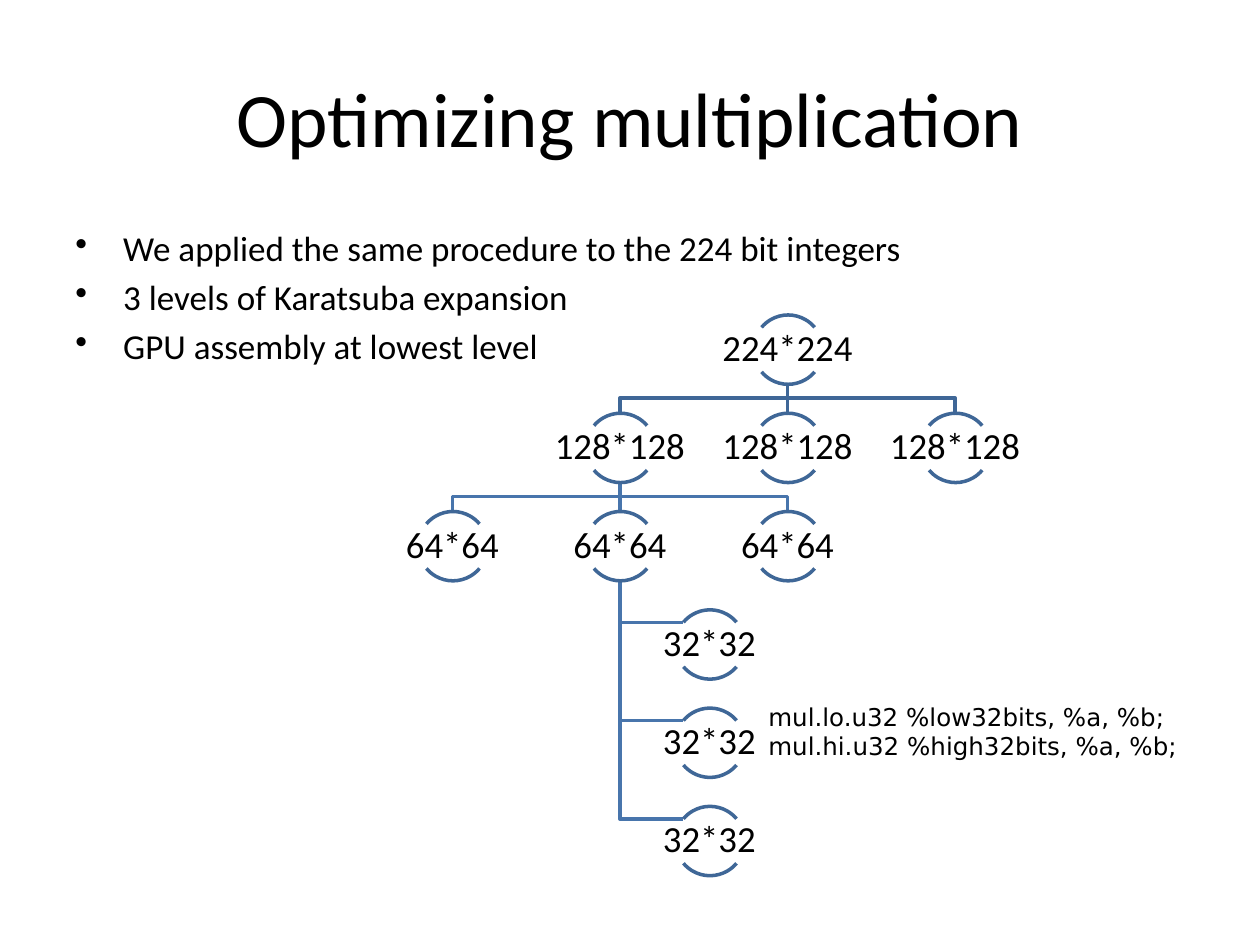
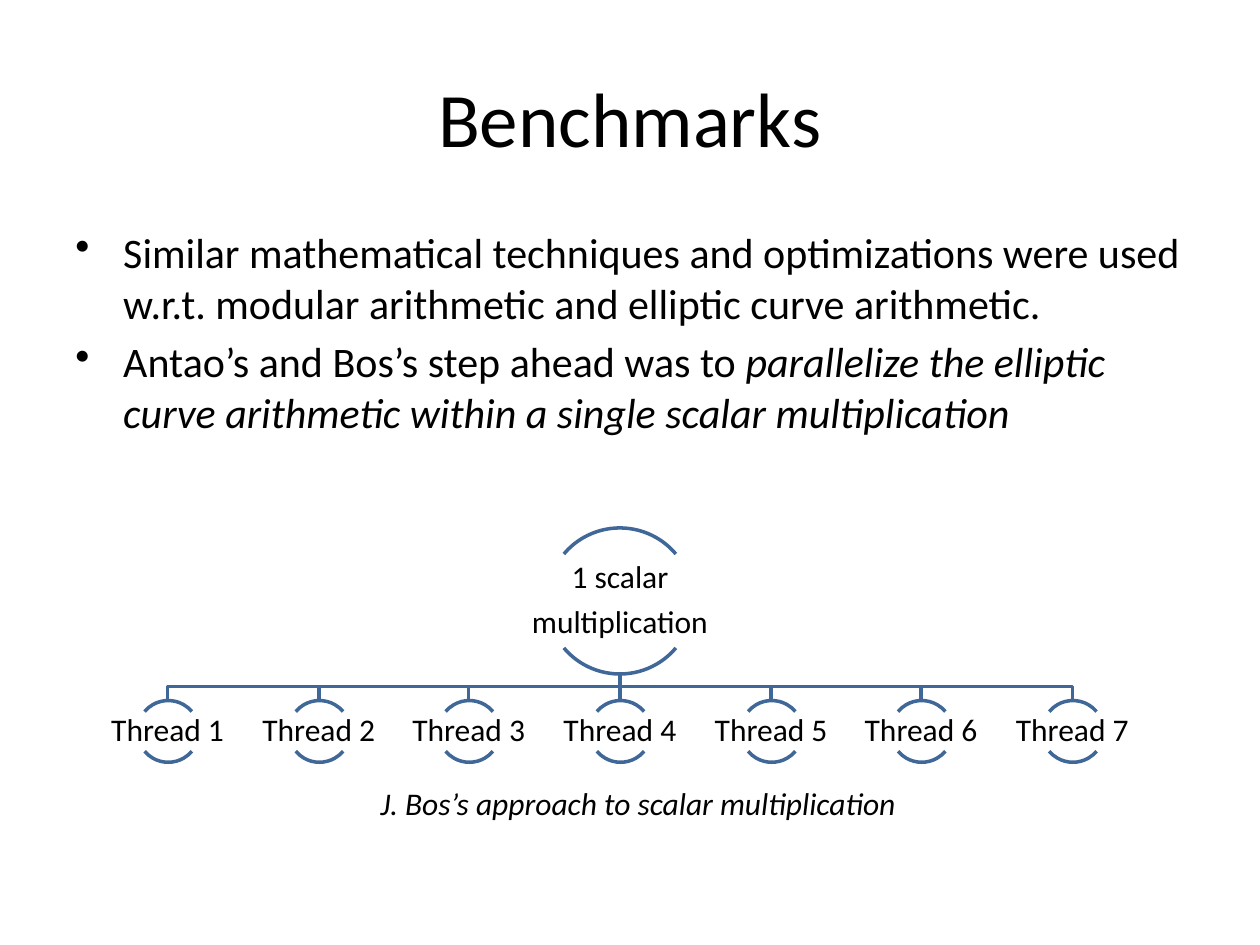
from dataclasses import dataclass

from lxml import etree
from pptx import Presentation
from pptx.dml.color import RGBColor
from pptx.enum.shapes import MSO_CONNECTOR, MSO_SHAPE
from pptx.enum.text import MSO_ANCHOR, PP_ALIGN
from pptx.oxml.ns import qn
from pptx.shapes.autoshape import Shape
from pptx.slide import Slide
from pptx.text.text import TextFrame
from pptx.util import Emu, Pt

PX = 9144
BLACK = RGBColor(0x00, 0x00, 0x00)
DARK_BLUE = RGBColor(0x3F, 0x67, 0x97)
MID_BLUE = RGBColor(0x48, 0x75, 0xAC)
BODY_FONT = "Calibri"
CODE_FONT = "DejaVu Sans"
LINE_WIDTH = Pt(2)
TITLE_ONLY = 5
TITLE_BOX = (50, 30, 900, 125)
BODY_BOX = (50, 175, 900, 495)
BULLET_INDENT = 38
LABEL_INSET = 1
ARC_ANGLES = ((132, 192), (24, 84))
ARC = MSO_SHAPE.ARC
STRAIGHT = MSO_CONNECTOR.STRAIGHT
MIDDLE = MSO_ANCHOR.MIDDLE
CENTER = PP_ALIGN.CENTER
LEFT = PP_ALIGN.LEFT


@dataclass(frozen=True)
class Bullet:
    plain: str
    italic: str = ""


@dataclass(frozen=True)
class Node:
    center: int
    top: int
    diameter: int
    label: str
    size: int

    @property
    def left(self) -> int:
        return self.center - self.diameter // 2

    @property
    def bottom(self) -> int:
        return self.top + self.diameter

    @property
    def label_top(self) -> int:
        return self.top + round(0.18 * self.diameter)

    @property
    def arc_end(self) -> int:
        return self.center - round(0.38 * self.diameter)


def px(length: int) -> Emu:
    return Emu(length * PX)


def box(*lengths: int) -> list[Emu]:
    return [px(length) for length in lengths]


def format_runs(text_frame: TextFrame, size: int, font: str = BODY_FONT,
                align: PP_ALIGN = LEFT) -> None:
    for paragraph in text_frame.paragraphs:
        paragraph.alignment = align
        for run in paragraph.runs:
            run.font.size = Pt(size)
            run.font.name = font
            run.font.color.rgb = BLACK


def add_text(slide: Slide, place: tuple[int, int, int, int], text: str,
             size: int, font: str = BODY_FONT, align: PP_ALIGN = LEFT) -> TextFrame:
    text_frame = slide.shapes.add_textbox(*box(*place)).text_frame
    text_frame.word_wrap = True
    text_frame.text = text
    format_runs(text_frame, size, font, align)
    return text_frame


def add_titled_slide(presentation: Presentation, title: str) -> Slide:
    slide = presentation.slides.add_slide(presentation.slide_layouts[TITLE_ONLY])
    shape = slide.shapes.title
    shape.left, shape.top, shape.width, shape.height = box(*TITLE_BOX)
    shape.text_frame.text = title
    shape.text_frame.vertical_anchor = MIDDLE
    format_runs(shape.text_frame, 44, align=CENTER)
    return slide


def add_bullets(slide: Slide, bullets: list[Bullet], size: int) -> None:
    text = "\n".join(bullet.plain for bullet in bullets)
    text_frame = add_text(slide, BODY_BOX, text, size)
    for paragraph, bullet in zip(text_frame.paragraphs, bullets):
        if bullet.italic:
            run = paragraph.add_run()
            run.text = bullet.italic
            run.font.italic = True
        paragraph.space_before = Pt(0.2 * size)
        properties = paragraph._p.get_or_add_pPr()
        properties.set("marL", str(px(BULLET_INDENT)))
        properties.set("indent", str(-px(BULLET_INDENT)))
        etree.SubElement(properties, qn("a:buChar")).set("char", "•")
    format_runs(text_frame, size)


def style_outline(shape: Shape, color: RGBColor) -> None:
    shape.fill.background()
    shape.line.color.rgb = color
    shape.line.width = LINE_WIDTH
    shape.shadow.inherit = False


def add_polyline(slide: Slide, points: list[tuple[int, int]], color: RGBColor) -> None:
    builder = slide.shapes.build_freeform(*points[0], scale=PX)
    builder.add_line_segments(points[1:], close=False)
    style_outline(builder.convert_to_shape(), color)


def add_straight(slide: Slide, x: int, top: int, bottom: int, color: RGBColor) -> None:
    connector = slide.shapes.add_connector(STRAIGHT, *box(x, top, x, bottom))
    connector.line.color.rgb = color
    connector.line.width = LINE_WIDTH
    etree.SubElement(connector._element.spPr, qn("a:effectLst"))


def add_branches(slide: Slide, parent: Node, children: list[Node],
                 color: RGBColor) -> None:
    for child in children:
        if child.center == parent.center:
            add_straight(slide, parent.center, parent.bottom, child.top, color)
            continue
        middle = (parent.bottom + child.top) // 2
        add_polyline(slide, [(parent.center, parent.bottom), (parent.center, middle),
                             (child.center, middle), (child.center, child.top)], color)


def add_hanging_branches(slide: Slide, parent: Node, children: list[Node],
                         color: RGBColor) -> None:
    for child in children:
        add_polyline(slide, [(parent.center, parent.bottom),
                             (parent.center, child.label_top),
                             (child.arc_end, child.label_top)], color)


def add_node(slide: Slide, node: Node) -> None:
    for start, end in ARC_ANGLES:
        arc = slide.shapes.add_shape(
            ARC, *box(node.left, node.top, node.diameter, node.diameter))
        arc.adjustments[0] = start
        arc.adjustments[1] = end
        style_outline(arc, DARK_BLUE)
    place = (node.center - node.diameter, node.label_top,
             2 * node.diameter, round(0.64 * node.diameter))
    text_frame = add_text(slide, place, node.label, node.size, align=CENTER)
    text_frame.vertical_anchor = MIDDLE
    text_frame.margin_left = text_frame.margin_right = px(LABEL_INSET)
    text_frame.margin_top = text_frame.margin_bottom = px(LABEL_INSET)
    for paragraph in text_frame.paragraphs:
        paragraph.line_spacing = 0.9
        paragraph.space_after = Pt(0.35 * node.size)


def build_multiplication(presentation: Presentation) -> None:
    slide = add_titled_slide(presentation, "Optimizing multiplication")
    add_bullets(slide, [
        Bullet("We applied the same procedure to the 224 bit integers"),
        Bullet("3 levels of Karatsuba expansion"),
        Bullet("GPU assembly at lowest level"),
    ], 20)

    columns = [359 + 133 * column for column in range(4)]
    rows = [250 + 78 * row for row in range(6)]

    def product(center: int, top: int, bits: int) -> Node:
        return Node(center, top, 55, f"{bits}*{bits}", 21)

    root = product(columns[2], rows[0], 224)
    halves = [product(center, rows[1], 128) for center in columns[1:]]
    quarters = [product(center, rows[2], 64) for center in columns[:3]]
    words = [product(563, top, 32) for top in rows[3:]]

    add_branches(slide, root, halves, DARK_BLUE)
    add_branches(slide, halves[0], quarters, MID_BLUE)
    add_hanging_branches(slide, quarters[1], words, MID_BLUE)
    for node in [root, *halves, *quarters, *words]:
        add_node(slide, node)

    add_text(slide, (600, 552, 400, 57),
             "mul.lo.u32 %low32bits, %a, %b;\nmul.hi.u32 %high32bits, %a, %b;",
             14, CODE_FONT)


def build_benchmarks(presentation: Presentation) -> None:
    slide = add_titled_slide(presentation, "Benchmarks")
    add_bullets(slide, [
        Bullet("Similar mathematical techniques and optimizations were used "
               "w.r.t. modular arithmetic and elliptic curve arithmetic."),
        Bullet("Antao’s and Bos’s step ahead was to ",
               "parallelize the elliptic curve arithmetic "
               "within a single scalar multiplication"),
    ], 24)

    root = Node(492, 419, 116, "1 scalar\nmultiplication", 18)
    threads = [Node(root.center + round(119.6 * (number - 4)), 556, 49,
                    f"Thread {number}", 18) for number in range(1, 8)]
    add_branches(slide, root, threads, DARK_BLUE)
    for node in [root, *threads]:
        add_node(slide, node)

    caption = add_text(slide, (292, 617, 483, 42),
                       "J. Bos’s approach to scalar multiplication", 18)
    caption.paragraphs[0].runs[0].font.italic = True


def main() -> None:
    presentation = Presentation()
    presentation.slide_width, presentation.slide_height = box(1000, 750)
    build_multiplication(presentation)
    build_benchmarks(presentation)
    presentation.save("out.pptx")


if __name__ == "__main__":
    main()
